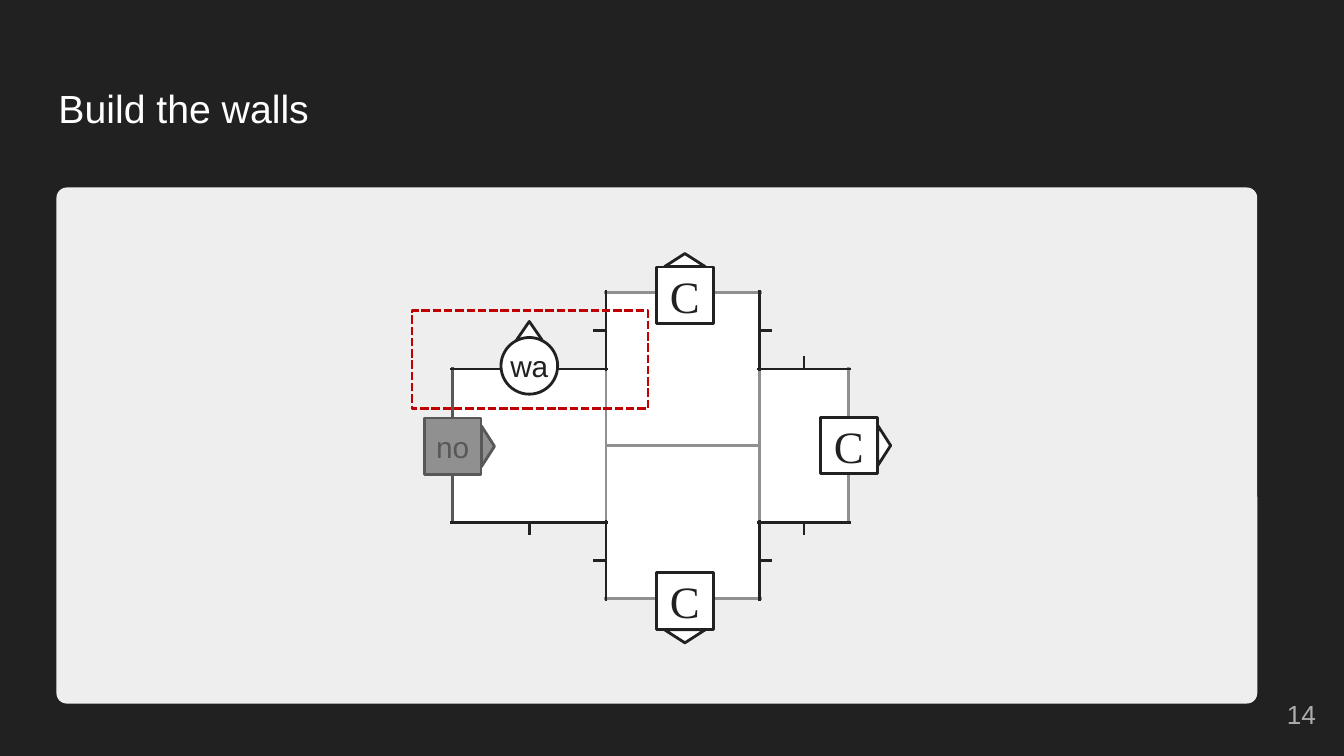
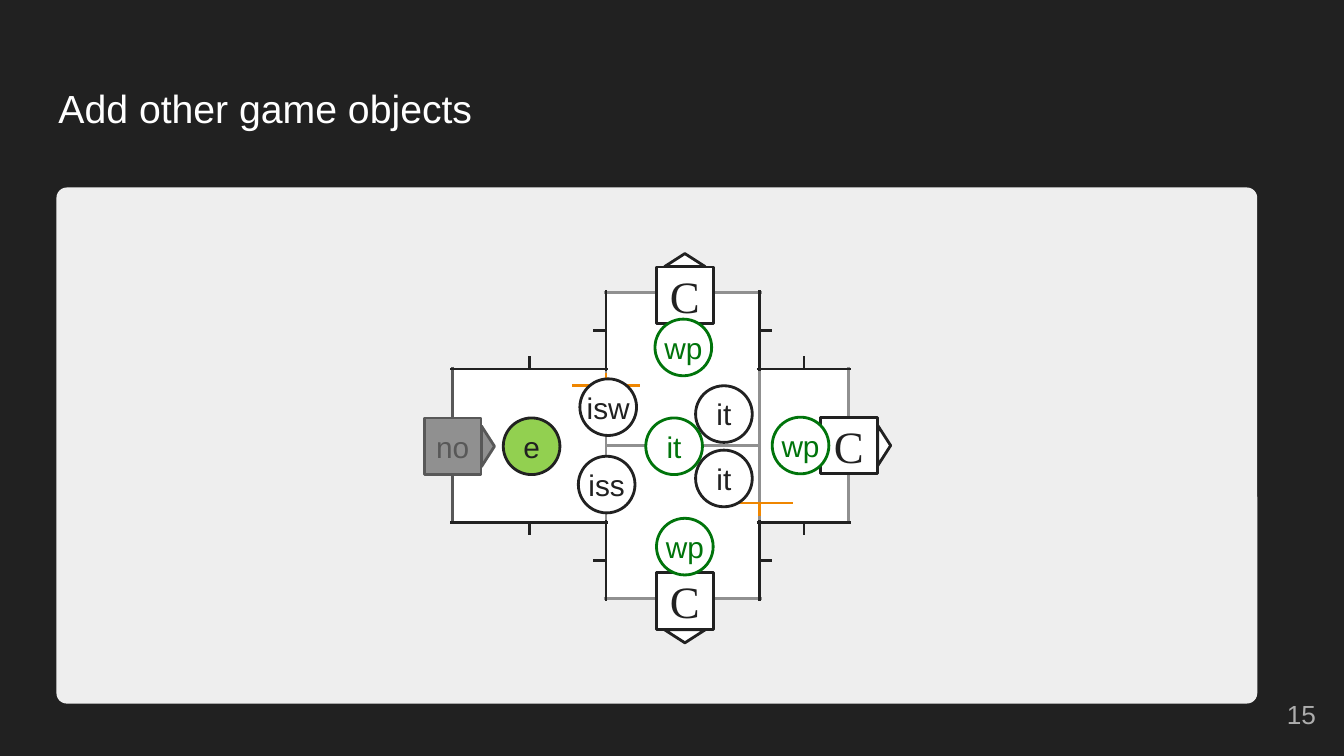
from dataclasses import dataclass
from typing import Any, NamedTuple, Optional

from lxml.etree import SubElement
from pptx import Presentation
from pptx.dml.color import RGBColor as Rgb
from pptx.enum.dml import MSO_LINE_DASH_STYLE as Dash
from pptx.enum.shapes import MSO_CONNECTOR as Connector
from pptx.enum.shapes import MSO_SHAPE as Preset
from pptx.enum.text import MSO_ANCHOR as Anchor
from pptx.enum.text import PP_ALIGN as Align
from pptx.oxml.ns import qn
from pptx.util import Inches, Pt


@dataclass(frozen=True)
class Theme:
    ink: str = "212121"
    paper: str = "FFFFFF"
    panel: str = "EEEEEE"
    page_number: str = "ADADAD"
    opening: str = "909090"
    blocked: str = "585858"
    highlight: str = "C00000"
    door: str = "EF8600"
    target: str = "00740B"
    enemy: str = "92D050"
    sans: str = "Arial"
    serif: str = "Times New Roman"
    title_size: float = 28
    connector_size: float = 32
    token_size: float = 21.3
    number_size: float = 18.7
    line_width: float = 2


THEME = Theme()


class Point(NamedTuple):
    column: float
    row: float


class Box(NamedTuple):
    column: float
    row: float
    columns: float
    rows: float


@dataclass(frozen=True)
class Grid:
    """A square grid; its lengths are in inches."""
    left: float
    top: float
    cell: float

    def at(self, column: float, row: float) -> tuple[int, int]:
        return Inches(self.left + column * self.cell), Inches(self.top + row * self.cell)

    def frame(self, box: Box) -> tuple[int, int, int, int]:
        return (*self.at(box.column, box.row),
                Inches(box.columns * self.cell), Inches(box.rows * self.cell))


PAGE = Grid(0, 0, 1)
PLAN = Grid(4.49, 2.9, 0.76)  # a cell is half a room

TITLE_BOX = Box(0.45, 0.65, 12.42, 0.84)
PANEL_BOX = Box(0.56, 1.86, 11.91, 5.12)
NUMBER_BOX = Box(12.35, 6.8, 0.8, 0.57)

OVERSHOOT = 0.03  # walls run past their corners
TICK = 0.17
TOKEN = 0.74
POINTER_REACH = 0.46

UP, RIGHT, DOWN, LEFT = Point(0, -1), Point(1, 0), Point(0, 1), Point(-1, 0)
TURNS = {UP: 0, RIGHT: 90, DOWN: 180}


@dataclass(frozen=True)
class Wall:
    start: Point
    end: Point
    tick: Optional[Point] = None
    color: str = THEME.ink


@dataclass(frozen=True)
class Token:
    label: str
    center: Point
    color: str = THEME.ink
    fill: str = THEME.paper
    preset: Preset = Preset.OVAL
    font: str = THEME.sans
    size: float = THEME.token_size
    pointer: Optional[Point] = None
    pointer_size: Point = Point(0.53, 0.17)


@dataclass(frozen=True)
class PlanPage:
    title: str
    number: int
    walls: tuple[Wall, ...]
    tokens: tuple[Token, ...]
    highlight: Optional[Box] = None


# Contents of the plan
def room_connector(center: Point, pointer: Point) -> Token:
    return Token("C", center, preset=Preset.RECTANGLE, font=THEME.serif,
                 size=THEME.connector_size, pointer=pointer)


ROOMS = (Box(0, 1, 2, 2), Box(2, 2, 2, 2), Box(2, 0, 2, 2), Box(4, 1, 1.17, 2))
OPENINGS = (
    Wall(Point(5.17, 1), Point(5.17, 3), color=THEME.opening),
    Wall(Point(2, 4), Point(4, 4), color=THEME.opening),
    Wall(Point(2, 0), Point(4, 0), color=THEME.opening),
    Wall(Point(0, 1), Point(0, 3), color=THEME.blocked),
)
CONNECTORS = (
    room_connector(Point(5.17, 2), RIGHT),
    room_connector(Point(3.03, 4.03), DOWN),
    room_connector(Point(3.03, 0.04), UP),
    Token("no", Point(0, 2.01), THEME.blocked, THEME.opening,
          Preset.RECTANGLE, pointer=RIGHT),
)
OUTER_WALLS = (
    Wall(Point(0, 3), Point(2, 3), DOWN),
    Wall(Point(4, 3), Point(5.17, 3), DOWN),
    Wall(Point(4, 1), Point(5.17, 1), UP),
    Wall(Point(4, 0), Point(4, 1), RIGHT),
    Wall(Point(2, 0), Point(2, 1), LEFT),
    Wall(Point(4, 3), Point(4, 4), RIGHT),
    Wall(Point(2, 3), Point(2, 4), LEFT),
)
NEW_WALL = (Point(0, 1), Point(2, 1))

PAGES = (
    PlanPage(
        "Build the walls", 14,
        walls=(Wall(*NEW_WALL),),
        tokens=(Token("wa", Point(1, 0.96), pointer=UP, pointer_size=Point(0.33, 0.24)),),
        highlight=Box(-0.53, 0.24, 3.08, 1.28),
    ),
    PlanPage(
        "Add other game objects", 15,
        walls=(
            Wall(*NEW_WALL, UP),
            Wall(Point(1.59, 1.22), Point(2.41, 1.22), UP, THEME.door),
            Wall(Point(3.59, 2.75), Point(4.41, 2.75), DOWN, THEME.door),
        ),
        tokens=(
            Token("e", Point(1.03, 2.01), fill=THEME.enemy),
            Token("isw", Point(2.03, 1.5)),
            Token("iss", Point(2.01, 2.51)),
            Token("it", Point(3.54, 2.43)),
            Token("it", Point(3.54, 1.59)),
            Token("it", Point(2.89, 2.01), THEME.target),
            Token("wp", Point(4.54, 2), THEME.target),
            Token("wp", Point(3.03, 3.32), THEME.target),
            Token("wp", Point(3.01, 0.72), THEME.target),
        ),
    ),
)


# Drawing helpers
def apply(target: Any, formats: dict[str, Any]) -> None:
    for name, value in formats.items():
        setattr(target, name, value)


def paint(fill: Any, color: Optional[str]) -> None:
    if color is None:
        fill.background()
    else:
        fill.solid()
        fill.fore_color.rgb = Rgb.from_string(color)


def write(shape: Any, text: str, font: str, size: float, color: str,
          align: Align = Align.CENTER, inset: float = 0, wrap: bool = False) -> None:
    frame = shape.text_frame
    sides = ("left", "top", "right", "bottom")
    apply(frame, {f"margin_{side}": Inches(inset) for side in sides})
    apply(frame, {"word_wrap": wrap, "vertical_anchor": Anchor.MIDDLE})
    para = frame.paragraphs[0]
    para.alignment = align
    span = para.add_run()
    span.text = text
    apply(span.font, {"name": font, "size": Pt(size)})
    span.font.color.rgb = Rgb.from_string(color)


def add_shape(page: Any, grid: Grid, box: Box, preset: Preset,
              fill: Optional[str], line: Optional[str] = None) -> Any:
    shape = page.shapes.add_shape(preset, *grid.frame(box))
    shape.shadow.inherit = False
    paint(shape.fill, fill)
    paint(shape.line.fill, line)
    if line:
        shape.line.width = Pt(THEME.line_width)
    return shape


def add_line(page: Any, start: Point, end: Point, color: str) -> None:
    line = page.shapes.add_connector(Connector.STRAIGHT, *PLAN.at(*start), *PLAN.at(*end))
    paint(line.line.fill, color)
    line.line.width = Pt(THEME.line_width)
    SubElement(line._element.spPr, qn("a:effectLst"))


def add_wall(page: Any, wall: Wall) -> None:
    (left, top), (right, bottom) = wall.start, wall.end
    across, down = (OVERSHOOT, 0) if top == bottom else (0, OVERSHOOT)
    add_line(page, Point(left - across, top - down),
             Point(right + across, bottom + down), wall.color)
    if wall.tick:
        middle = Point((left + right) / 2, (top + bottom) / 2)
        tip = Point(middle.column + TICK * wall.tick.column,
                    middle.row + TICK * wall.tick.row)
        add_line(page, middle, tip, wall.color)


def centered(center: Point, columns: float, rows: float) -> Box:
    return Box(center.column - columns / 2, center.row - rows / 2, columns, rows)


def add_token(page: Any, token: Token) -> None:
    if token.pointer:
        middle = Point(token.center.column + POINTER_REACH * token.pointer.column,
                       token.center.row + POINTER_REACH * token.pointer.row)
        pointer = add_shape(page, PLAN, centered(middle, *token.pointer_size),
                            Preset.ISOSCELES_TRIANGLE, token.fill, token.color)
        pointer.rotation = TURNS[token.pointer]
    body = add_shape(page, PLAN, centered(token.center, TOKEN, TOKEN),
                     token.preset, token.fill, token.color)
    write(body, token.label, token.font, token.size, token.color)


# Pages
def add_frame(page: Any, content: PlanPage) -> None:
    title = page.shapes.title
    apply(title, dict(zip(("left", "top", "width", "height"), PAGE.frame(TITLE_BOX))))
    write(title, content.title, THEME.sans, THEME.title_size, THEME.paper,
          Align.LEFT, inset=0.13, wrap=True)
    panel = add_shape(page, PAGE, PANEL_BOX, Preset.ROUNDED_RECTANGLE, THEME.panel)
    panel.adjustments[0] = 0.02
    number = page.shapes.add_textbox(*PAGE.frame(NUMBER_BOX))
    write(number, str(content.number), THEME.sans, THEME.number_size,
          THEME.page_number, Align.RIGHT, inset=0.1, wrap=True)


def add_plan_page(deck: Any, content: PlanPage) -> None:
    page = deck.slides.add_slide(deck.slide_layouts.get_by_name("Title Only"))
    add_frame(page, content)
    for room in ROOMS:
        add_shape(page, PLAN, room, Preset.RECTANGLE, THEME.paper, THEME.opening)
    for wall in OPENINGS:
        add_wall(page, wall)
    for token in CONNECTORS:
        add_token(page, token)
    for wall in OUTER_WALLS + content.walls:
        add_wall(page, wall)
    for token in content.tokens:
        add_token(page, token)
    if content.highlight:
        marker = add_shape(page, PLAN, content.highlight, Preset.RECTANGLE,
                           None, THEME.highlight)
        marker.line.dash_style = Dash.SQUARE_DOT


def main() -> None:
    deck = Presentation()
    apply(deck, {"slide_width": Inches(13.33), "slide_height": Inches(7.5)})
    paint(deck.slide_master.background.fill, THEME.ink)
    for content in PAGES:
        add_plan_page(deck, content)
    deck.save("out.pptx")


if __name__ == "__main__":
    main()
